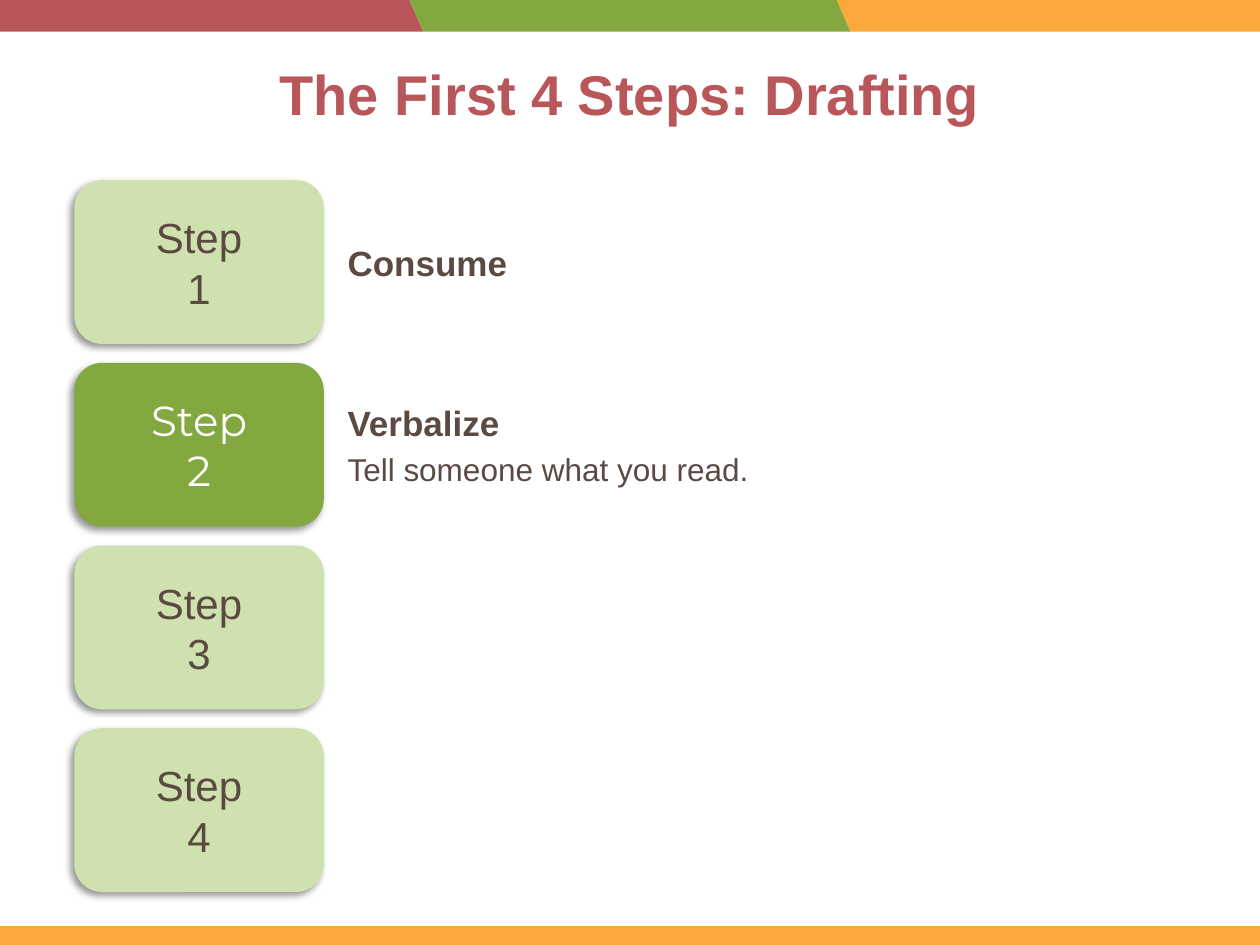
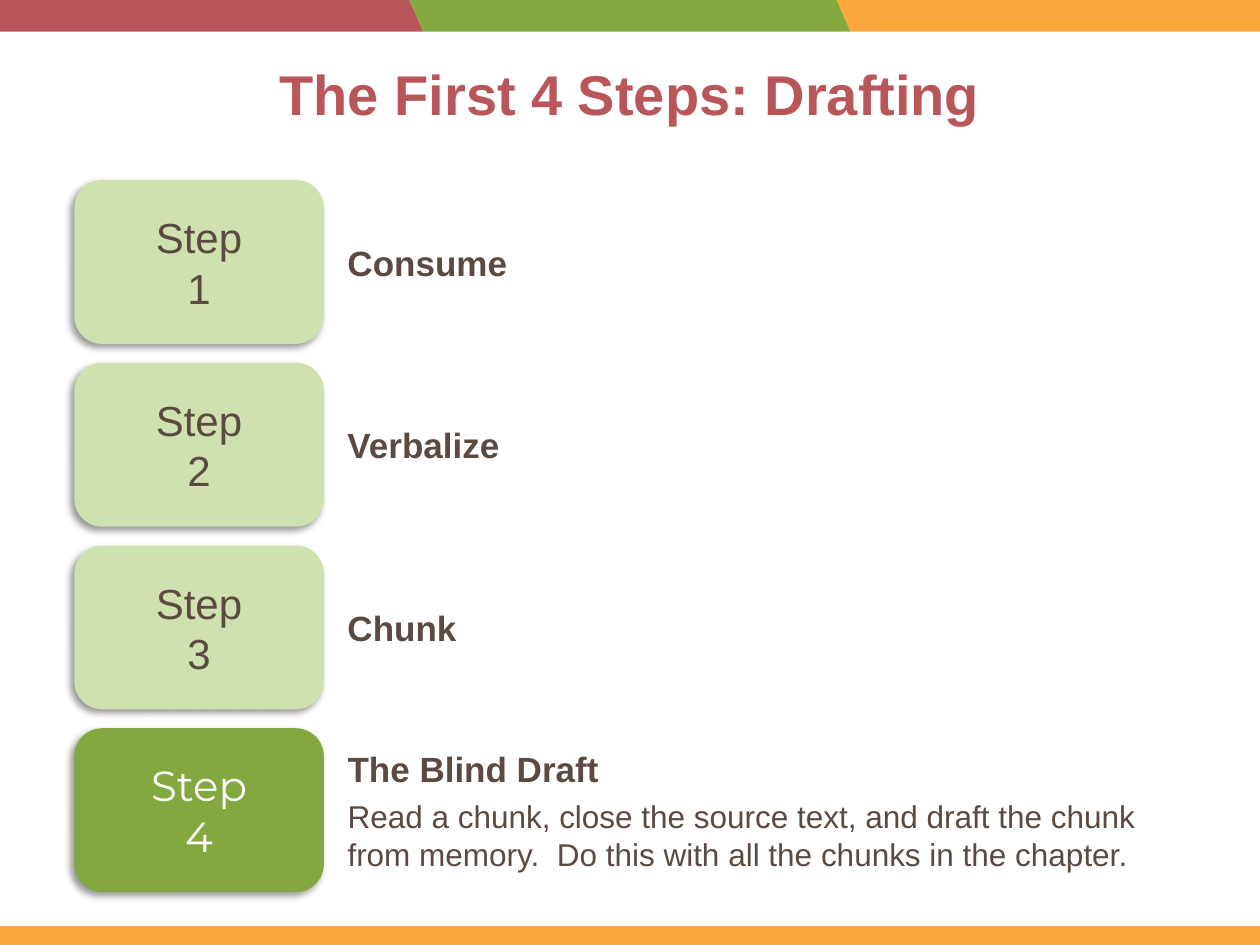
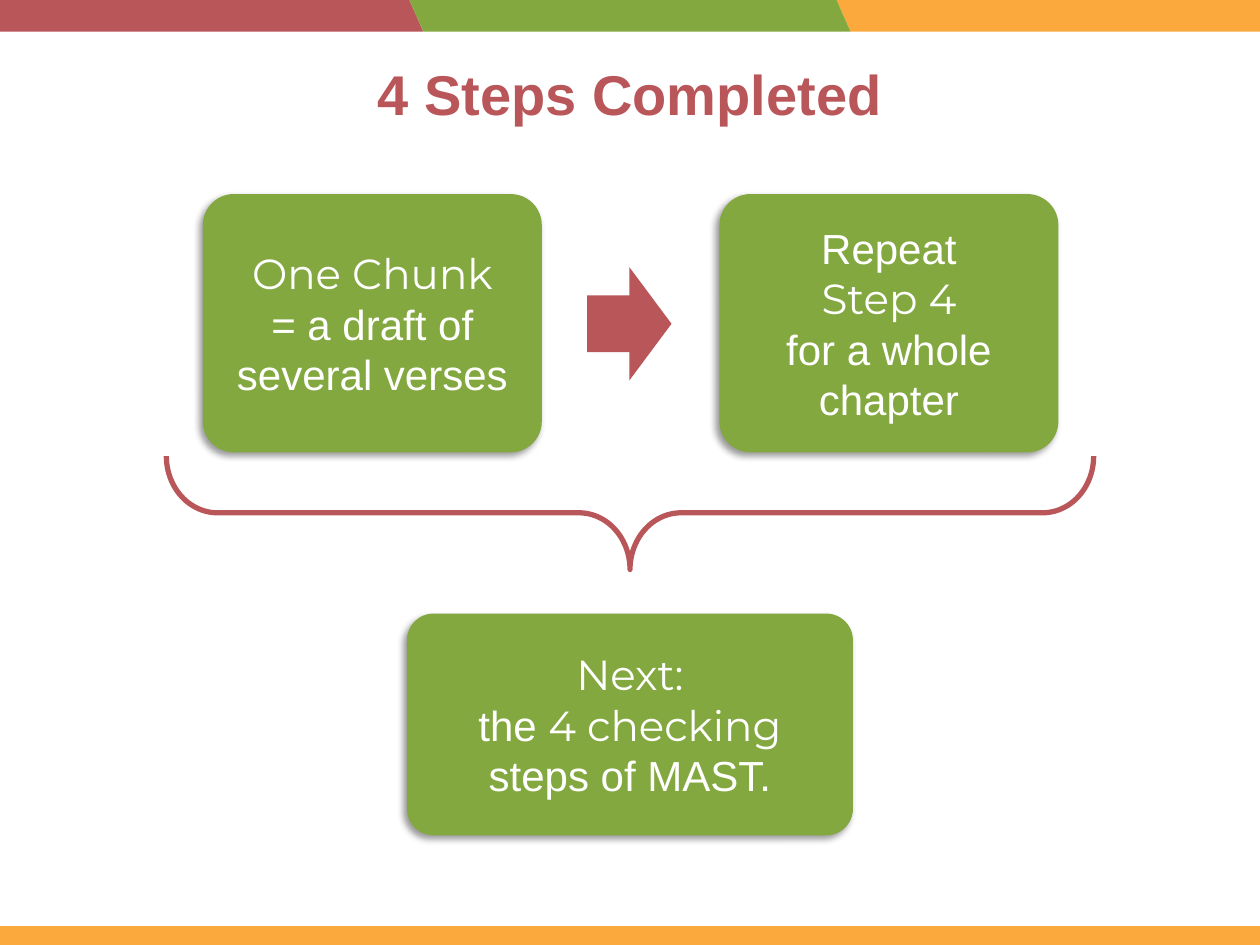
import dataclasses
import typing

import lxml.etree
import pptx
import pptx.dml.color
import pptx.enum.shapes
import pptx.enum.text
import pptx.oxml.ns
import pptx.util

Inches = pptx.util.Inches
Pt = pptx.util.Pt
RGBColor = pptx.dml.color.RGBColor
Preset = pptx.enum.shapes.MSO_SHAPE
Align = pptx.enum.text.PP_ALIGN
Anchor = pptx.enum.text.MSO_ANCHOR

RED = RGBColor(0xB9, 0x56, 0x59)
GREEN = RGBColor(0x83, 0xA8, 0x3F)
PALE_GREEN = RGBColor(0xCF, 0xE1, 0xAE)
ORANGE = RGBColor(0xFB, 0xA9, 0x3D)
BROWN = RGBColor(0x5B, 0x4A, 0x42)
WHITE = RGBColor(0xFF, 0xFF, 0xFF)

BODY_FONT = "Arial"
ACCENT_FONT = "Montserrat"
LINE_HEIGHT = 1.2

BAND_LEFT, BAND_STEP = -0.14, 3.39
BANDS = ((2, ORANGE), (0, RED), (1, GREEN))

STEP_COUNT = 4
STEP_LEFT, STEP_TOP, STEP_PITCH = 0.59, 1.43, 1.45
STEP_WIDTH, STEP_HEIGHT = 1.98, 1.3
LABEL_LEFT = 2.66


class Box(typing.NamedTuple):
    left: float
    top: float
    width: float
    height: float

    def lengths(self) -> list[pptx.util.Length]:
        return [Inches(value) for value in self]


@dataclasses.dataclass(frozen=True)
class Run:
    text: str
    font: str = BODY_FONT
    size: float = 24
    color: RGBColor = WHITE
    bold: bool = False


@dataclasses.dataclass(frozen=True)
class Label:
    step: int
    heading: str
    width: float
    height: float = 0.44
    detail: str = ""


@dataclasses.dataclass(frozen=True)
class StepsSlide:
    active_step: int
    labels: tuple[Label, ...]


@dataclasses.dataclass(frozen=True)
class Card:
    box: Box
    paragraphs: list[list[Run]]


STEPS_TITLE = "The First 4 Steps: Drafting"
STEPS_SLIDES = (
    StepsSlide(2, (
        Label(1, "Consume", 1.65),
        Label(2, "Verbalize", 3.95, 0.8, "Tell someone what you read."),
    )),
    StepsSlide(4, (
        Label(1, "Consume", 1.63),
        Label(2, "Verbalize", 1.86),
        Label(3, "Chunk", 1.86),
        Label(4, "The Blind Draft", 6.82, 1.1,
              "Read a chunk, close the source text, and draft the chunk from memory.  "
              "Do this with all the chunks in the chapter."),
    )),
)

COMPLETED_TITLE = "4 Steps Completed"
CARDS = (
    Card(Box(1.61, 1.54, 2.69, 2.05), [
        [Run("One Chunk", ACCENT_FONT)],
        [Run("= a draft of several verses")],
    ]),
    Card(Box(5.71, 1.54, 2.69, 2.05), [
        [Run("Repeat\n"), Run("Step 4\n", ACCENT_FONT), Run("for a whole chapter")],
    ]),
    Card(Box(3.23, 4.87, 3.54, 1.76), [
        [Run("Next:", ACCENT_FONT)],
        [Run("the "), Run("4 checking ", ACCENT_FONT), Run("steps of MAST.")],
    ]),
)


def apply_format(target: typing.Any, values: dict[str, typing.Any]) -> None:
    for name, value in values.items():
        setattr(target, name, value)


def add_run(paragraph, run: Run) -> None:
    """Add the text of a run, turning each newline into a line break."""
    for index, piece in enumerate(run.text.split("\n")):
        if index:
            paragraph.add_line_break()
        if piece:
            text_run = paragraph.add_run()
            text_run.text = piece
            apply_format(text_run.font, {
                "name": run.font, "size": Pt(run.size), "bold": run.bold})
            text_run.font.color.rgb = run.color


def write_text(shape, paragraphs: list[list[Run]], alignment=Align.CENTER,
               anchor=Anchor.MIDDLE, spacing: float = 0) -> None:
    frame = shape.text_frame
    apply_format(frame, {"word_wrap": True, "vertical_anchor": anchor})
    for index, runs in enumerate(paragraphs):
        paragraph = frame.add_paragraph() if index else frame.paragraphs[0]
        apply_format(paragraph, {
            "alignment": alignment,
            "line_spacing": Pt(runs[0].size * LINE_HEIGHT),
            "space_before": Pt(spacing),
            "space_after": Pt(spacing),
        })
        for run in runs:
            add_run(paragraph, run)


def add_filled_shape(slide, preset, box: Box, color: RGBColor):
    shape = slide.shapes.add_shape(preset, *box.lengths())
    shape.shadow.inherit = False
    shape.fill.solid()
    shape.fill.fore_color.rgb = color
    shape.line.fill.background()
    return shape


def add_soft_shadow(shape) -> None:
    qualified = pptx.oxml.ns.qn
    effects = shape.element.spPr.find(qualified("a:effectLst"))
    shadow = lxml.etree.SubElement(effects, qualified("a:outerShdw"), {
        "blurRad": str(Pt(4)), "dist": str(Pt(3)),
        "dir": str(135 * 60000), "algn": "tr", "rotWithShape": "0"})
    color = lxml.etree.SubElement(shadow, qualified("a:srgbClr"), val="000000")
    lxml.etree.SubElement(color, qualified("a:alpha"), val="40000")


def add_card(slide, box: Box, color: RGBColor, paragraphs: list[list[Run]],
             rounding: float) -> None:
    card = add_filled_shape(slide, Preset.ROUNDED_RECTANGLE, box, color)
    card.adjustments[0] = rounding
    add_soft_shadow(card)
    write_text(card, paragraphs)


def add_framed_slide(presentation, title: str):
    """Add a blank slide with the top bands, the footer strip and a title."""
    slide = presentation.slides.add_slide(presentation.slide_layouts[6])
    for position, color in BANDS:
        box = Box(BAND_LEFT + position * BAND_STEP, 0, 3.5, 0.25)
        band = add_filled_shape(slide, Preset.PARALLELOGRAM, box, color)
        band.adjustments[0] = 0.44
        band.element.spPr.xfrm.set("flipH", "1")
    add_filled_shape(slide, Preset.RECTANGLE, Box(0, 7.35, 10, 0.15), ORANGE)
    title_box = slide.shapes.add_textbox(*Box(0.69, 0.42, 8.62, 1.45).lengths())
    write_text(title_box, [[Run(title, size=32, color=RED, bold=True)]],
               anchor=Anchor.TOP)
    return slide


def step_top(step: int) -> float:
    return STEP_TOP + (step - 1) * STEP_PITCH


def add_step(slide, step: int, active: bool) -> None:
    box = Box(STEP_LEFT, step_top(step), STEP_WIDTH, STEP_HEIGHT)
    text = f"Step\n{step}"
    run = Run(text, ACCENT_FONT) if active else Run(text, color=BROWN)
    add_card(slide, box, GREEN if active else PALE_GREEN, [[run]], 0.17)


def add_label(slide, label: Label) -> None:
    """Write a label centred vertically on its step."""
    top = step_top(label.step) + (STEP_HEIGHT - label.height) / 2
    box = Box(LABEL_LEFT, top, label.width, label.height)
    paragraphs = [[Run(label.heading, size=20, color=BROWN, bold=True)]]
    if label.detail:
        paragraphs.append([Run(label.detail, size=18, color=BROWN)])
    write_text(slide.shapes.add_textbox(*box.lengths()), paragraphs, Align.LEFT,
               spacing=2 if label.detail else 0)


def add_steps_slide(presentation, content: StepsSlide) -> None:
    slide = add_framed_slide(presentation, STEPS_TITLE)
    for step in range(1, STEP_COUNT + 1):
        add_step(slide, step, step == content.active_step)
    for label in content.labels:
        add_label(slide, label)


def add_brace(slide) -> None:
    brace = slide.shapes.add_shape(
        Preset.RIGHT_BRACE, *Box(4.55, 0.39, 0.9, 7.36).lengths())
    brace.rotation = 90
    brace.adjustments[0] = 0.45
    brace.shadow.inherit = False
    brace.fill.background()
    brace.line.color.rgb = RED
    brace.line.width = Pt(3)


def add_completed_slide(presentation) -> None:
    slide = add_framed_slide(presentation, COMPLETED_TITLE)
    for card in CARDS:
        add_card(slide, card.box, GREEN, card.paragraphs, 0.12)
    add_filled_shape(slide, Preset.RIGHT_ARROW, Box(4.66, 2.12, 0.67, 0.9), RED)
    add_brace(slide)


def main() -> None:
    presentation = pptx.Presentation()
    apply_format(presentation, {
        "slide_width": Inches(10), "slide_height": Inches(7.5)})
    for content in STEPS_SLIDES:
        add_steps_slide(presentation, content)
    add_completed_slide(presentation)
    presentation.save("out.pptx")


if __name__ == "__main__":
    main()
